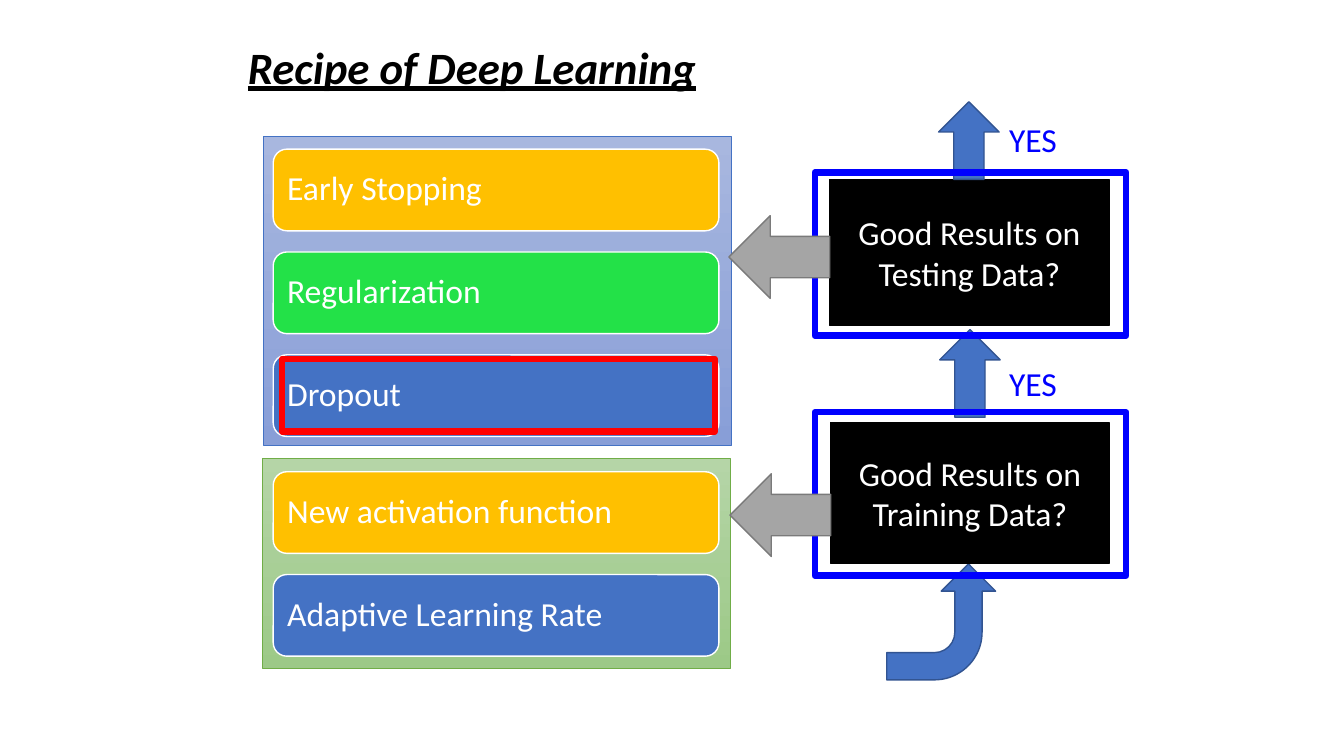
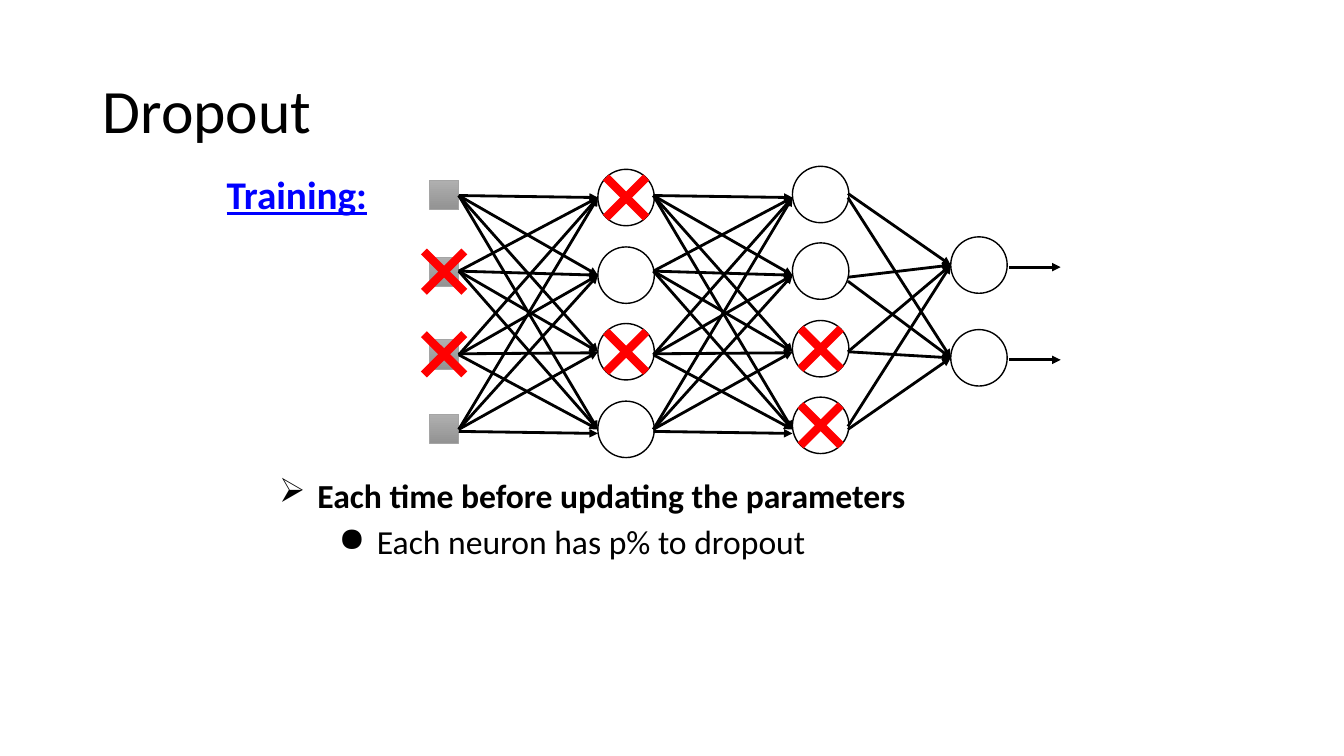
from dataclasses import dataclass
from itertools import product

from lxml.etree import SubElement
from pptx import Presentation
from pptx.dml.color import RGBColor
from pptx.enum.shapes import MSO_CONNECTOR, MSO_SHAPE
from pptx.enum.text import MSO_ANCHOR, PP_ALIGN
from pptx.oxml.ns import qn
from pptx.util import Pt

EMU_PER_PX = 9144  # 100 px to the inch


@dataclass(frozen=True)
class Theme:
    font: str = "Calibri"
    black: str = "000000"
    white: str = "FFFFFF"
    blue: str = "4472C4"
    blue_edge: str = "325491"
    gold: str = "FFC000"
    green: str = "23E148"
    gray: str = "A5A5A5"
    gray_edge: str = "7A7A7A"
    accent: str = "0000FF"
    alert: str = "FF0000"
    body: int = 24
    subtitle: int = 28
    heading: int = 32
    title: int = 44


THEME = Theme()

# Recipe slide content: boxes are (left, top, width, height)
PANELS = [
    dict(box=(260, 455, 464, 208), fill=("B5D5A7", "9CC987"), edge="70AD47",
         chips=[("New activation function", THEME.gold),
                ("Adaptive Learning Rate", THEME.blue)]),
    dict(box=(261, 135, 464, 307), fill=("A8B7DF", "889ED7"), edge=THEME.blue,
         chips=[("Early Stopping", THEME.gold), ("Regularization", THEME.green),
                ("Dropout", THEME.blue)]),
]
CHIP_LEFT, CHIP_WIDTH, CHIP_HEIGHT = 271, 442, 81
CHIP_MARGIN, CHIP_STEP = 13, 102
CHECKS = [
    dict(text="Good Results on Testing Data?", box=(823, 178, 277, 145),
         frame=(808, 171, 309, 162), up=(931, 101, 60, 77),
         left=(723, 214, 100, 82), yes=(991, 113, 84, 50)),
    dict(text="Good Results on Training Data?", box=(824, 419, 276, 140),
         frame=(808, 409, 309, 162), up=(932, 327, 60, 87),
         left=(724, 470, 100, 82), yes=(991, 355, 84, 50)),
]
ENTRY_ARROW = (876, 563, 115, 108)
DROPOUT_MARK = (280, 356, 429, 72)

# Dropout slide content: columns of nodes, with the rows that are crossed out
COLUMNS = [
    dict(left=426, size=29, tops=(179, 255, 337, 411), dropped=(1, 2)),
    dict(left=593, size=56, tops=(168, 245, 321, 398), dropped=(0, 2)),
    dict(left=786, size=56, tops=(165, 241, 318, 394), dropped=(2, 3)),
    dict(left=943, size=56, tops=(235, 327), dropped=()),
]
HIDDEN_LINKS = list(product((194, 269, 352, 426), (196, 273, 349, 426)))
LEVEL_LINKS = {(352, 349): (351, 350), (426, 426): (428, 430)}
HIDDEN_LINKS = [LEVEL_LINKS.get(link, link) for link in HIDDEN_LINKS]
OUTPUT_LINKS = [(start, end) for end, starts in
                ((263, (192, 275, 349, 423)), (355, (196, 279, 349, 426)))
                for start in starts]
LINK_GROUPS = [(455, 593, HIDDEN_LINKS), (648, 786, HIDDEN_LINKS),
               (841, 943, OUTPUT_LINKS),
               (1001, 1052, [(265, 265), (357, 357)])]
CROSS_REACH = 20
BULLETS = [
    ("➢", "Each time before updating the parameters", (267, 466, 690, 50), True),
    ("●", "Each neuron has p% to dropout", (326, 512, 703, 50), False),
]
BULLET_INDENT = 38


def px(*lengths):
    return [int(length * EMU_PER_PX) for length in lengths]


def color(value):
    return RGBColor.from_string(value)


def write(shape, text, size=THEME.body, tint=THEME.black, frame=None, para=None, **font):
    """Put one formatted paragraph into a shape and return the paragraph."""
    box, line = shape.text_frame, shape.text_frame.paragraphs[0]
    span = line.add_run()
    span.text = text
    span.font.color.rgb = color(tint)
    formats = [(box, dict(word_wrap=True, **(frame or {}))),
               (line, dict(alignment=PP_ALIGN.LEFT) | (para or {})),
               (span.font, dict(name=THEME.font, size=Pt(size), **font))]
    for target, values in formats:
        for name, value in values.items():
            setattr(target, name, value)
    return line


def add_text(page, box, text, **style):
    return write(page.shapes.add_textbox(*px(*box)), text, **style)


def add_shape(page, kind, box, fill=None, edge=THEME.black, weight=1):
    """Fill is a colour, a (top, bottom) pair for a gradient, or None."""
    shape = page.shapes.add_shape(kind, *px(*box))
    shape.shadow.inherit = False
    if fill is None:
        shape.fill.background()
    elif isinstance(fill, tuple):
        shape.fill.gradient()
        shape.fill.gradient_angle = 270
        for stop, value in zip(shape.fill.gradient_stops, fill):
            stop.color.rgb = color(value)
    else:
        shape.fill.solid()
        shape.fill.fore_color.rgb = color(fill)
    shape.line.color.rgb = color(edge)
    shape.line.width = Pt(weight)
    return shape


def add_line(page, start, end, tint=THEME.black, weight=2, arrow=True):
    line = page.shapes.add_connector(MSO_CONNECTOR.STRAIGHT, *px(*start, *end))
    line.line.color.rgb = color(tint)
    line.line.width = Pt(weight)
    properties = line.element.spPr
    if arrow:
        SubElement(properties.find(qn("a:ln")), qn("a:tailEnd"), type="triangle")
    SubElement(properties, qn("a:effectLst"))


def add_bullet(para, mark):
    properties = para._p.get_or_add_pPr()
    indent, = px(BULLET_INDENT)
    properties.set("marL", str(indent))
    properties.set("indent", str(-indent))
    SubElement(properties, qn("a:buChar"), char=mark)


def add_panel(page, panel):
    add_shape(page, MSO_SHAPE.RECTANGLE, panel["box"], panel["fill"], panel["edge"], 0.5)
    inset, = px(10)
    for row, (text, fill) in enumerate(panel["chips"]):
        top = panel["box"][1] + CHIP_MARGIN + row * CHIP_STEP
        chip = add_shape(page, MSO_SHAPE.ROUNDED_RECTANGLE,
                         (CHIP_LEFT, top, CHIP_WIDTH, CHIP_HEIGHT), fill, THEME.white)
        write(chip, text, tint=THEME.white, para=dict(line_spacing=0.9),
              frame=dict(vertical_anchor=MSO_ANCHOR.MIDDLE,
                         margin_left=inset, margin_right=inset))


def build_recipe(page):
    add_text(page, (236, 34, 476, 64), "Recipe of Deep Learning", size=THEME.heading,
             bold=True, italic=True, underline=True)
    for panel in PANELS:
        add_panel(page, panel)

    # Arrow that enters the flow from below
    entry = add_shape(page, MSO_SHAPE.BENT_ARROW, ENTRY_ARROW, THEME.blue, THEME.blue_edge)
    entry.rotation = 270
    entry.element.spPr.find(qn("a:xfrm")).set("flipV", "1")

    # Questions with their frames and ways out
    for check in CHECKS:
        question = add_shape(page, MSO_SHAPE.RECTANGLE, check["box"], THEME.black)
        write(question, check["text"], tint=THEME.white,
              frame=dict(vertical_anchor=MSO_ANCHOR.MIDDLE),
              para=dict(alignment=PP_ALIGN.CENTER))
        add_shape(page, MSO_SHAPE.UP_ARROW, check["up"], THEME.blue, THEME.blue_edge)
        add_text(page, check["yes"], "YES", tint=THEME.accent)
    for check in CHECKS:
        add_shape(page, MSO_SHAPE.RECTANGLE, check["frame"], edge=THEME.accent, weight=4.5)
        add_shape(page, MSO_SHAPE.LEFT_ARROW, check["left"], THEME.gray, THEME.gray_edge)

    add_shape(page, MSO_SHAPE.RECTANGLE, DROPOUT_MARK, edge=THEME.alert, weight=4.5)


def build_dropout(page):
    add_text(page, (92, 40, 1150, 145), "Dropout", size=THEME.title,
             frame=dict(vertical_anchor=MSO_ANCHOR.MIDDLE), para=dict(line_spacing=0.9))
    add_text(page, (215, 164, 254, 57), "Training:", size=THEME.subtitle,
             tint=THEME.accent, bold=True, underline=True)

    # Nodes: squares for the inputs, circles for the neurons
    for number, column in enumerate(COLUMNS):
        for top in column["tops"]:
            box = (column["left"], top, column["size"], column["size"])
            if number == 0:
                add_shape(page, MSO_SHAPE.RECTANGLE, box, ("AFAFAF", "939393"),
                          THEME.gray, 0.5)
            else:
                add_shape(page, MSO_SHAPE.OVAL, box)

    # Links between the columns
    for left, right, links in LINK_GROUPS:
        for start, end in links:
            add_line(page, (left, start), (right, end))

    # Crosses on the dropped nodes
    for column in COLUMNS:
        for row in column["dropped"]:
            x = column["left"] + column["size"] / 2
            y = column["tops"][row] + column["size"] / 2
            for rise in (CROSS_REACH, -CROSS_REACH):
                add_line(page, (x - CROSS_REACH, y - rise), (x + CROSS_REACH, y + rise),
                         THEME.alert, 6, arrow=False)

    for mark, text, box, bold in BULLETS:
        add_bullet(add_text(page, box, text, bold=bold), mark)


def main():
    deck = Presentation()
    deck.slide_width, deck.slide_height = px(1333, 750)
    for build in (build_recipe, build_dropout):
        build(deck.slides.add_slide(deck.slide_layouts[6]))
    deck.save("out.pptx")


if __name__ == "__main__":
    main()
